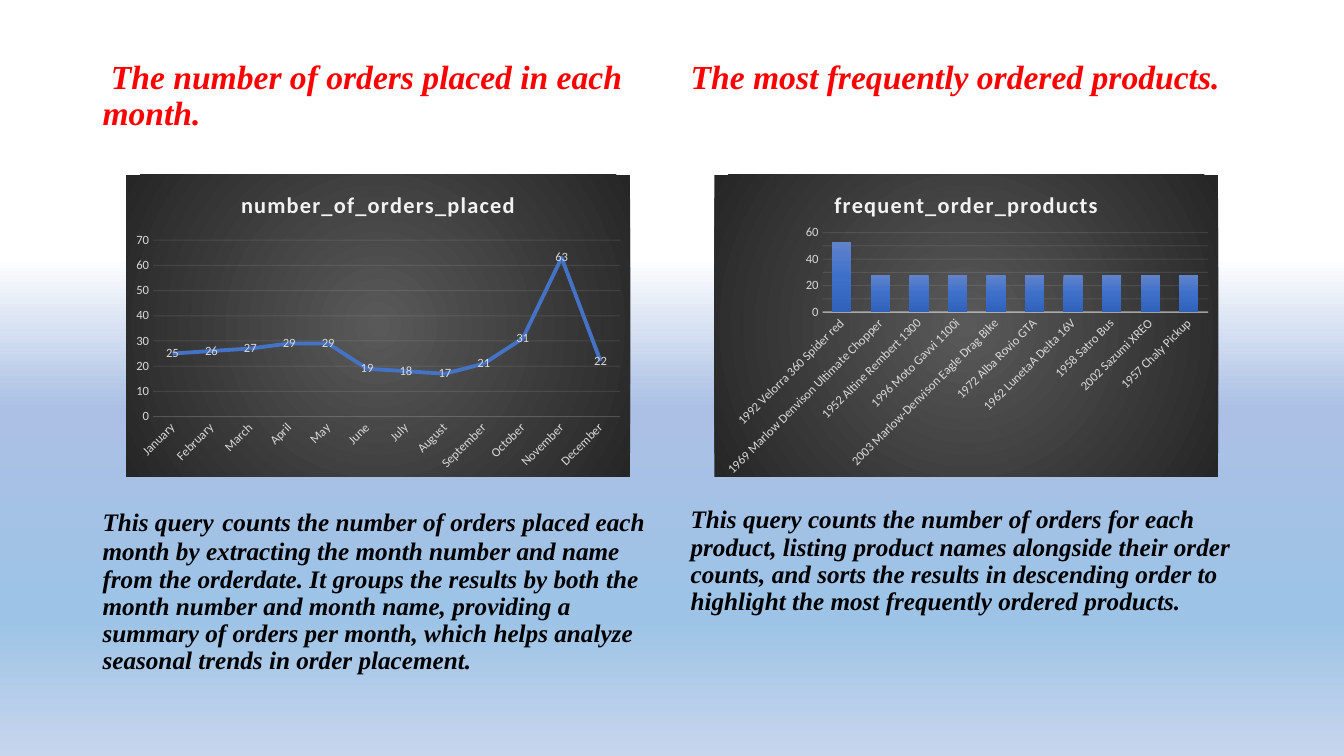
from dataclasses import dataclass

from lxml import etree
from pptx import Presentation
from pptx.chart.data import CategoryChartData
from pptx.dml.color import RGBColor
from pptx.enum.chart import XL_CHART_TYPE, XL_LABEL_POSITION, XL_MARKER_STYLE, XL_TICK_MARK
from pptx.enum.text import MSO_AUTO_SIZE
from pptx.oxml import parse_xml
from pptx.oxml.ns import qn
from pptx.util import Cm, Pt

LINE, COLUMN = XL_CHART_TYPE.LINE, XL_CHART_TYPE.COLUMN_CLUSTERED
NO_TICK, NO_MARKER = XL_TICK_MARK.NONE, XL_MARKER_STYLE.NONE
LABEL_CENTER, NO_AUTOFIT = XL_LABEL_POSITION.CENTER, MSO_AUTO_SIZE.NONE
DRAWING_NS = "http://schemas.openxmlformats.org/drawingml/2006/main"
CHART_NS = "http://schemas.openxmlformats.org/drawingml/2006/chart"


@dataclass(frozen=True)
class Theme:
    text_font: str = "Times New Roman"
    chart_font: str = "Calibri"
    heading_color: str = "FF0000"
    caption_color: str = "000000"
    series_color: str = "4472C4"
    label_color: str = "D9D9D9"
    light: str = "F2F2F2"
    heading_size: int = 24
    caption_size: int = 18
    chart_title_size: int = 16
    chart_size: int = 10
    label_size: int = 9
    page: tuple = ((34, "FFFFFF"), (54, "ABC0E4"), (82, "9DC3E6"), (100, "C7D5ED"))
    chart_area: tuple = ((0, "595959"), (100, "262626"))
    bar: tuple = ((0, "6183CB"), (50, "3E70CA"), (100, "3062BB"))


THEME = Theme()

# Content: one dict per half; a caption is a list of (text, size) runs
PANELS = [
    {
        "heading": " The number of orders placed in each month.",
        "caption": [
            ("This query", THEME.caption_size),
            (" ", THEME.heading_size),
            ("counts the number of orders placed each month by extracting the month "
             "number and name from the orderdate. It groups the results by both the "
             "month number and month name, providing a summary of orders per month, "
             "which helps analyze seasonal trends in order placement.", THEME.caption_size),
        ],
        "caption_gap": 264,
        "kind": LINE,
        "measure": "number_of_orders_placed",
        "maximum": 70,
        "axis_line": (0.75, 10),
        "counts": {
            "January": 25, "February": 26, "March": 27, "April": 29, "May": 29, "June": 19,
            "July": 18, "August": 17, "September": 21, "October": 31, "November": 63,
            "December": 22,
        },
    },
    {
        "heading": "The most frequently ordered products.",
        "caption": [
            ("This query counts the number of orders for each product, listing product "
             "names alongside their order counts, and sorts the results in descending "
             "order to highlight the most frequently ordered products.", THEME.caption_size),
        ],
        "caption_gap": 293,
        "kind": COLUMN,
        "measure": "frequent_order_products",
        "maximum": 60,
        "axis_line": (1, 54),
        "counts": {
            "1992 Velorra 360 Spider red": 53, "1969 Marlow Denvison Ultimate Chopper": 28,
            "1952 Altine Rembert 1300": 28, "1996 Moto Gavvi 1100i": 28,
            "2003 Marlow-Denvison Eagle Drag Bike": 28, "1972 Alba Rovio GTA": 28,
            "1962 LunetaA Delta 16V": 28, "1958 Satro Bus": 28, "2002 Sazumi XREO": 28,
            "1957 Chaly Pickup": 28,
        },
    },
]

# Layout in centimetres
SLIDE_W, SLIDE_H = 33.87, 19.05
PANEL_LEFT, PANEL_TOP, PANEL_W, PANEL_H, PANEL_STEP = 2.33, 1.4, 14.4, 15.77, 14.82
CHART_TOP, CHART_W, CHART_H = 4.4, 12.7, 7.62


def gradient(stops, direction):
    marks = "".join(f'<a:gs pos="{position * 1000}"><a:srgbClr val="{color}"/></a:gs>'
                    for position, color in stops)
    return parse_xml(f'<a:gradFill xmlns:a="{DRAWING_NS}" rotWithShape="1">'
                     f'<a:gsLst>{marks}</a:gsLst>{direction}</a:gradFill>')


DOWNWARD = '<a:lin ang="5400000" scaled="0"/>'
RADIAL = '<a:path path="circle"><a:fillToRect l="50000" t="50000" r="50000" b="50000"/></a:path>'


def replace_solid(owner, stops):
    solid = owner.find(qn("a:solidFill"))
    owner.replace(solid, gradient(stops, DOWNWARD))


def style_font(font, name, size, color, bold=False, italic=False):
    font.name, font.size = name, Pt(size)
    font.bold, font.italic = bold, italic
    font.color.rgb = RGBColor.from_string(color)


def style_faint_line(line, width, opacity):
    line.width = Pt(width)
    line.color.rgb = RGBColor.from_string(THEME.light)


def fade(line_owner, opacity):
    for color in line_owner.iter(qn("a:srgbClr")):
        etree.SubElement(color, qn("a:alpha")).set("val", str(opacity * 1000))


def write_panel(placeholder, panel, left):
    placeholder.left, placeholder.top = Cm(left), Cm(PANEL_TOP)
    placeholder.width, placeholder.height = Cm(PANEL_W), Cm(PANEL_H)
    frame = placeholder.text_frame
    frame.word_wrap, frame.auto_size = True, NO_AUTOFIT
    frame.text = panel["heading"]
    heading, caption = frame.paragraphs[0], frame.add_paragraph()
    style_font(heading.runs[0].font, THEME.text_font, THEME.heading_size,
               THEME.heading_color, True, True)
    for words, size in panel["caption"]:
        run = caption.add_run()
        run.text = words
        style_font(run.font, THEME.text_font, size, THEME.caption_color, True, True)
    # The caption's space before leaves room for the chart
    for paragraph, gap in ((heading, 0), (caption, panel["caption_gap"])):
        paragraph.line_spacing, paragraph.space_before = 0.9, Pt(gap)
        properties = paragraph._p.get_or_add_pPr()
        properties.set("marL", "0")
        properties.set("indent", "0")
        etree.SubElement(properties, qn("a:buNone"))


def draw_chart(slide, panel, left):
    data = CategoryChartData()
    data.categories = list(panel["counts"])
    data.add_series(panel["measure"], list(panel["counts"].values()))
    chart = slide.shapes.add_chart(panel["kind"], Cm(left), Cm(CHART_TOP),
                                   Cm(CHART_W), Cm(CHART_H), data).chart
    style_font(chart.font, THEME.chart_font, THEME.chart_size, THEME.caption_color)
    chart.has_legend = False

    # Dark radial chart area
    area = parse_xml(f'<c:spPr xmlns:c="{CHART_NS}" xmlns:a="{DRAWING_NS}">'
                     '<a:ln><a:noFill/></a:ln></c:spPr>')
    area.insert(0, gradient(THEME.chart_area, RADIAL))
    chart.element.find(qn("c:txPr")).addprevious(area)

    # Title with wide letter spacing
    title = chart.chart_title
    title.text_frame.text = panel["measure"]
    title.include_in_layout = False
    style_font(title.text_frame.paragraphs[0].runs[0].font, THEME.chart_font,
               THEME.chart_title_size, THEME.light, True)
    for properties in chart.element.xpath("c:chart/c:title//a:r/a:rPr"):
        properties.set("spc", "100")

    # Axes
    months_or_products, orders = chart.category_axis, chart.value_axis
    for axis in (months_or_products, orders):
        axis.major_tick_mark = axis.minor_tick_mark = NO_TICK
        style_font(axis.tick_labels.font, THEME.chart_font, THEME.label_size, THEME.label_color)
    orders.minimum_scale, orders.maximum_scale, orders.major_unit = 0, panel["maximum"], 10
    orders.format.line.fill.background()
    axis_width, axis_opacity = panel["axis_line"]
    style_faint_line(months_or_products.format.line, axis_width, axis_opacity)
    style_faint_line(orders.major_gridlines.format.line, 0.75, 10)
    for query, opacity in (("//c:catAx/c:spPr", axis_opacity), ("//c:majorGridlines", 10)):
        fade(chart.element.xpath(query)[0], opacity)
    chart.element.xpath("//c:catAx/c:txPr/a:bodyPr")[0].set("rot", "-2700000")

    # Series
    plot = chart.plots[0]
    plot.vary_by_categories = False
    series = plot.series[0]
    if panel["kind"] == LINE:
        series.smooth = False
        series.marker.style = NO_MARKER
        series.format.line.width = Pt(2.75)
        series.format.line.color.rgb = RGBColor.from_string(THEME.series_color)
        labels = series.data_labels
        labels.show_value, labels.position = True, LABEL_CENTER
        style_font(labels.font, THEME.chart_font, THEME.label_size, THEME.label_color)
    else:
        plot.gap_width, plot.overlap = 100, -24
        series.format.fill.solid()
        series.format.fill.fore_color.rgb = RGBColor.from_string(THEME.series_color)
        replace_solid(chart.element.xpath("//c:ser/c:spPr")[0], THEME.bar)


def main():
    deck = Presentation()
    deck.slide_width, deck.slide_height = Cm(SLIDE_W), Cm(SLIDE_H)
    slide = deck.slides.add_slide(deck.slide_layouts[3])

    # Background
    slide.background.fill.solid()
    slide.background.fill.fore_color.rgb = RGBColor.from_string(THEME.page[0][1])
    replace_solid(slide.element.xpath("//p:bgPr")[0], THEME.page)

    # Two halves, each with its chart centred across the text
    empty_title, *halves = slide.placeholders
    empty_title.element.getparent().remove(empty_title.element)
    for index, (half, panel) in enumerate(zip(halves, PANELS)):
        left = PANEL_LEFT + index * PANEL_STEP
        write_panel(half, panel, left)
        draw_chart(slide, panel, left + (PANEL_W - CHART_W) / 2)
    deck.save("out.pptx")


if __name__ == "__main__":
    main()
